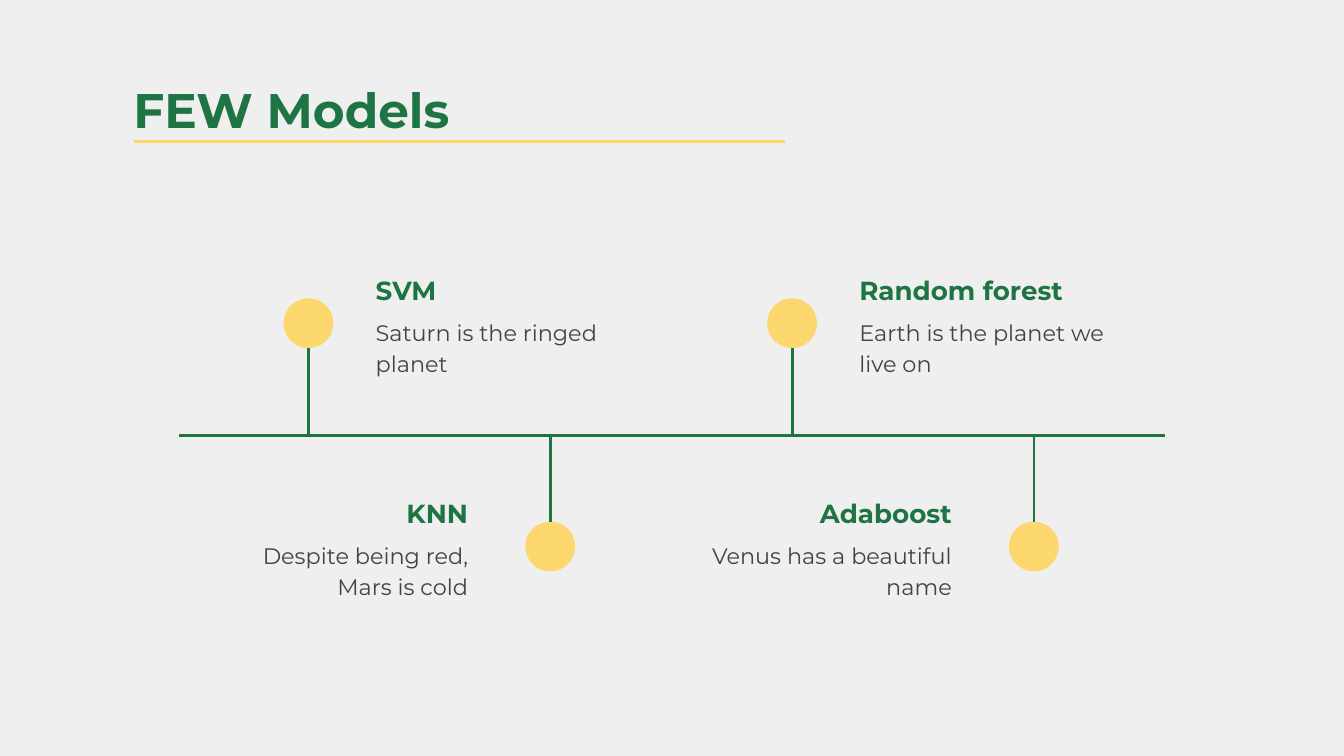
from lxml.etree import SubElement
from pptx import Presentation
from pptx.dml.color import RGBColor
from pptx.enum.shapes import MSO_CONNECTOR, MSO_SHAPE
from pptx.enum.text import MSO_ANCHOR, MSO_AUTO_SIZE, PP_ALIGN
from pptx.oxml.ns import qn
from pptx.util import Cm, Pt

GREEN, YELLOW, GREY, PAPER = "1F7444", "FBD76D", "434343", "EFEFEF"
TITLE = dict(size=Pt(26), bold=True)
HEADING = dict(size=Pt(14), bold=True)
DETAIL = dict(size=Pt(12), bold=False)
BALL = 0.94
LABEL_W, LABEL_H = 5.16, 1.6
MODELS = [
    ("SVM", "Saturn is the ringed planet"),
    ("KNN", "Despite being red, Mars is cold"),
    ("Random forest", "Earth is the planet we live on"),
    ("Adaboost", "Venus has a beautiful name"),
]


def paint(fmt, color):
    """Give a fill a solid colour from a hex string."""
    fmt.solid()
    fmt.fore_color.rgb = RGBColor.from_string(color)


def set_attrs(obj, **values):
    """Set each named attribute on an object."""
    for name, value in values.items():
        setattr(obj, name, value)


def write(sp, box, text, font, color, align=PP_ALIGN.LEFT, **spacing):
    """Place a text shape in a box (cm) and write one formatted paragraph."""
    left, top, width, height = map(Cm, box)
    set_attrs(sp, left=left, top=top, width=width, height=height)
    tf = sp.text_frame
    set_attrs(tf, word_wrap=True, auto_size=MSO_AUTO_SIZE.NONE,
              vertical_anchor=MSO_ANCHOR.TOP,
              **{f"margin_{side}": Cm(0.25) for side in ("left", "top", "right", "bottom")})
    p = tf.paragraphs[0]
    set_attrs(p, alignment=align, **{"space_before": Pt(0), "line_spacing": 1.0, **spacing})
    pPr = p._p.get_or_add_pPr()
    pPr.set("marL", "0")
    pPr.set("indent", "0")
    SubElement(pPr, qn("a:buNone"))
    r = p.add_run()
    r.text = text
    set_attrs(r.font, name="Montserrat", **font)
    paint(r.font.fill, color)


def add_line(s, x1, y1, x2, y2, color):
    """Draw a straight line between two points given in cm."""
    line = s.shapes.add_connector(MSO_CONNECTOR.STRAIGHT, Cm(x1), Cm(y1), Cm(x2), Cm(y2))
    line.line.width = Pt(1.5)
    paint(line.line.fill, color)
    SubElement(line._element.spPr, qn("a:effectLst"))


def add_header(s, left, top, width):
    """Fill the title and underline it."""
    write(s.shapes.title, (left, top, width, 1.6), "FEW Models", TITLE, GREEN)
    add_line(s, left + 0.27, top + 1.4, left + 12.57, top + 1.4, YELLOW)


def add_milestone(s, body, x, axis_y, above, heading, detail):
    """Hang a ball and its label on the axis, above or below it."""
    ball_y = axis_y - 2.59 if above else axis_y + 1.63
    ball = s.shapes.add_shape(MSO_SHAPE.OVAL, Cm(x - BALL / 2), Cm(ball_y), Cm(BALL), Cm(BALL))
    ball.shadow.inherit = False
    paint(ball.fill, YELLOW)
    ball.line.fill.background()
    add_line(s, x, ball_y + BALL if above else ball_y, x, axis_y, GREEN)

    left = x + 1.02 if above else x - 1.3 - LABEL_W
    align = PP_ALIGN.LEFT if above else PP_ALIGN.RIGHT
    top = ball_y - 0.7
    write(s.shapes.add_textbox(0, 0, 0, 0), (left, top, LABEL_W, LABEL_H),
          heading, HEADING, GREEN, align)
    write(body, (left, top + 0.76, LABEL_W, LABEL_H), detail, DETAIL, GREY, align,
          line_spacing=1.15, space_after=Pt(16))


def add_timeline(s, left, axis_y, width):
    """Draw the axis and its milestones, alternating above and below."""
    add_line(s, left, axis_y, left + width, axis_y, GREEN)
    bodies = [sp for sp in s.placeholders if 1 <= sp.placeholder_format.idx <= 4]
    for i, (body, model) in enumerate(zip(bodies, MODELS)):
        add_milestone(s, body, left + 2.45 + i * 4.57, axis_y, i % 2 == 0, *model)


def main():
    """Build the slide and save it."""
    prs = Presentation()
    prs.slide_width, prs.slide_height = Cm(25.4), Cm(14.29)
    s = prs.slides.add_slide(prs.slide_layouts[4])
    paint(s.background.fill, PAPER)
    add_header(s, 2.27, 1.27, 20.85)
    add_timeline(s, 3.38, 8.23, 18.64)
    prs.save("out.pptx")


main()
